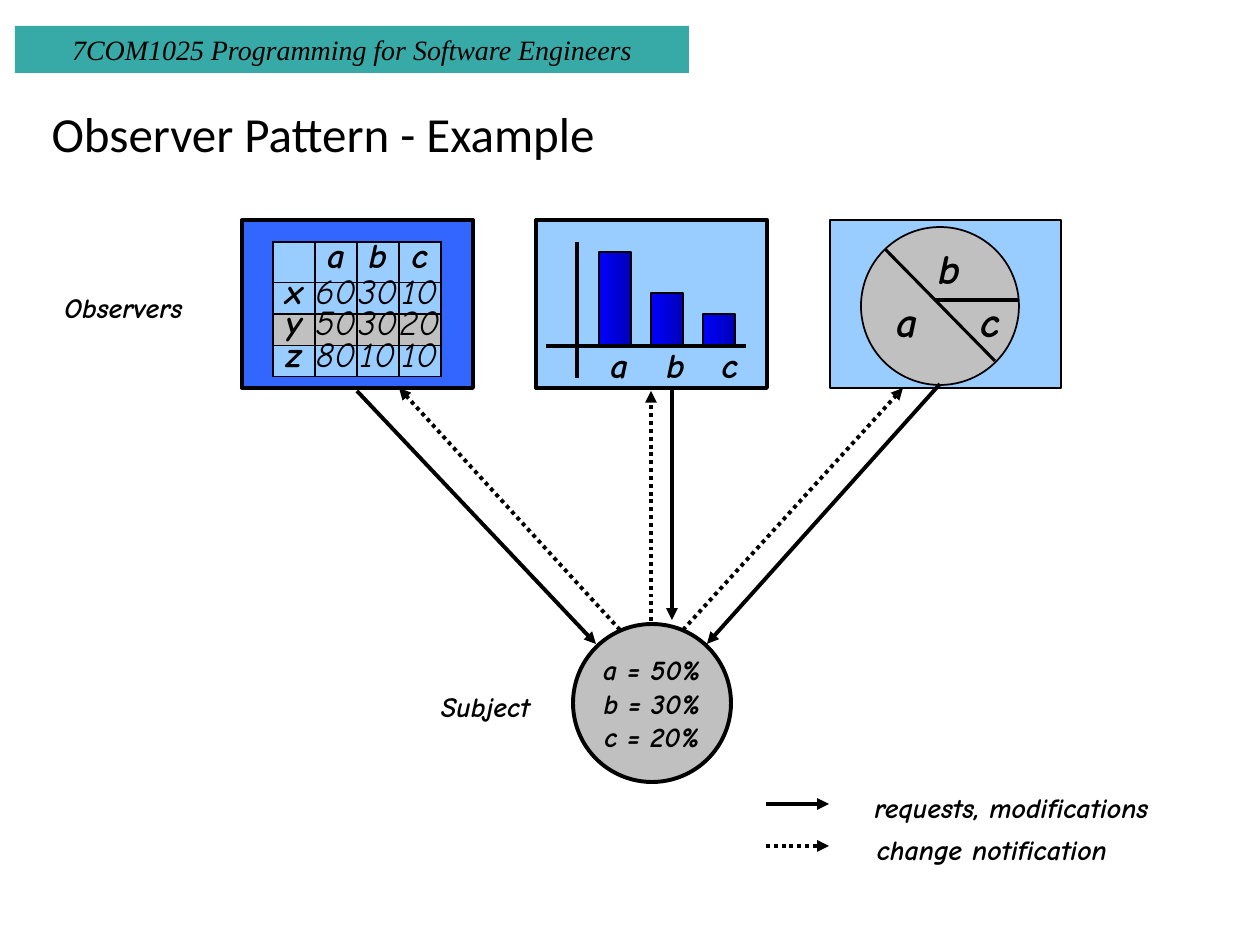
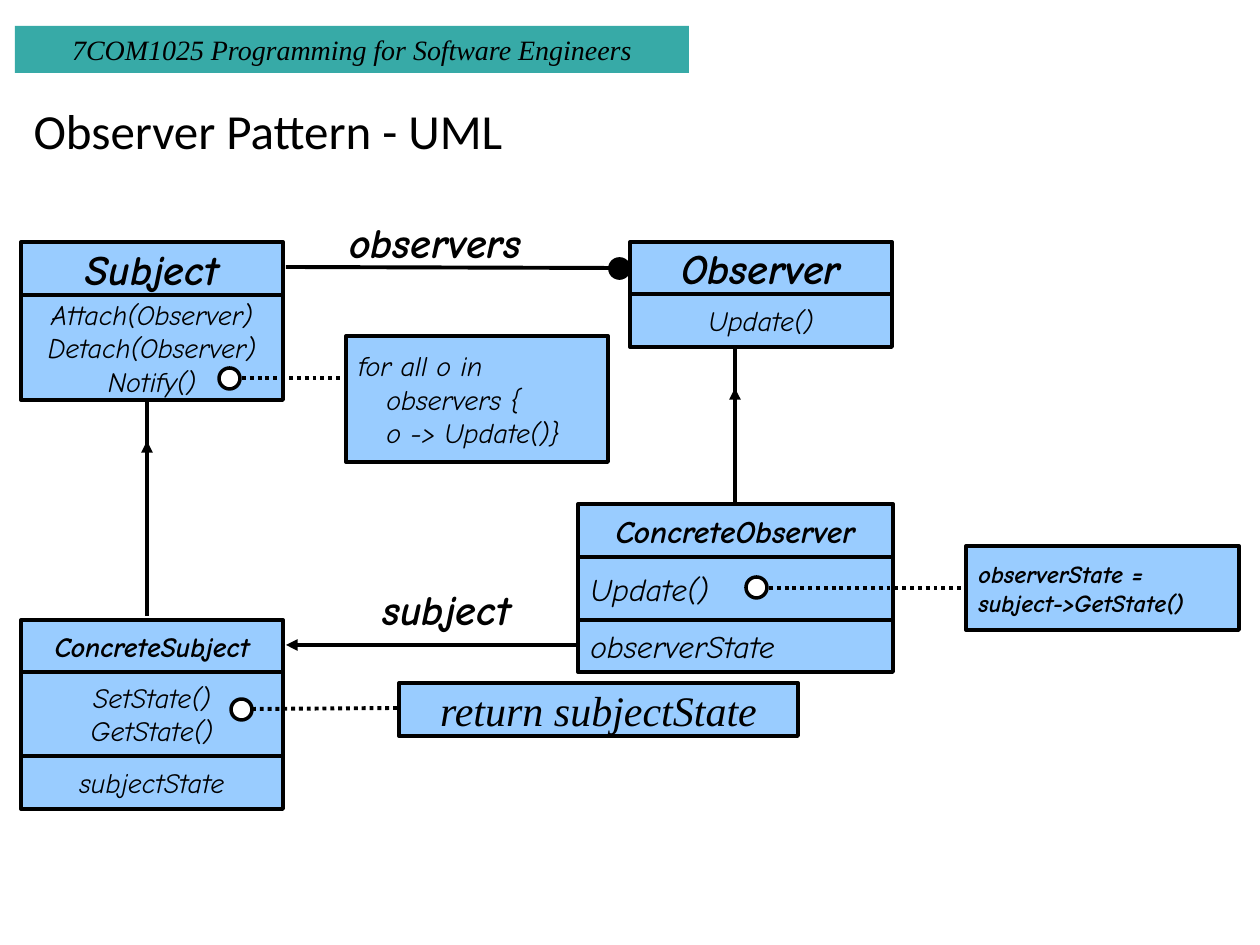
"""Build two slides on the Observer pattern: an example and its UML."""
from lxml.etree import SubElement
from pptx import Presentation
from pptx.dml.color import RGBColor
from pptx.enum.dml import MSO_LINE
from pptx.enum.shapes import MSO_CONNECTOR, MSO_SHAPE
from pptx.enum.text import MSO_ANCHOR, PP_ALIGN
from pptx.oxml.ns import qn
from pptx.util import Emu, Pt

SCALE = 914400 // 126
BLACK, WHITE, TEAL = "000000", "FFFFFF", "37AAA7"
SKY, ROYAL, GREY = "99CCFF", "3366FF", "C0C0C0"
SHADES = "0000FF", "0000B6"
COMIC, TIMES, SANS = "Comic Neue", "Times New Roman", "Calibri"
RECT, OVAL = MSO_SHAPE.RECTANGLE, MSO_SHAPE.OVAL
LEFT, MID = PP_ALIGN.LEFT, PP_ALIGN.CENTER

BAND = "7COM1025 Programming for Software Engineers"
BAND_AT = (15, 26, 674, 47)

PANELS = [(ROYAL, 2.25), (SKY, 2.25), (SKY, 1)]
PANEL_X, PANEL_GAP, PANEL_Y, PANEL_W, PANEL_H = 242, 294, 220, 231, 168
GRID = [["", "a", "b", "c"],
        ["x", "60", "30", "10"],
        ["y", "50", "30", "20"],
        ["z", "80", "10", "10"]]
GRID_AT = (273, 242, 168, 126)
PICKED = 2
BARS = [94, 53, 32]
BAR_X, BAR_GAP, BAR_W, BASE = 599, 52, 32, 346
STATE = ["a = 50%", "b = 30%", "c = 20%"]
PIE_AT, STATE_AT = (861, 227, 158, 158), (573, 624, 158, 158)
EX_LABELS = [("a", 619, 364, 20), ("b", 675, 364, 20), ("c", 730, 364, 20),
             ("a", 907, 321, 24), ("b", 949, 268, 24), ("c", 990, 321, 24),
             ("Observers", 123, 307, 16), ("Subject", 485, 706, 16),
             ("requests, modifications", 1011, 807, 16),
             ("change notification", 992, 849, 16)]
AXES = [(577, 242, 577, 378), (746, BASE, 546, BASE)]
SPOKES = [((885, 249, 995, 361), 1.75), ((935, 300, 1018, 300), 2.25)]
ASKS = [(357, 391, 596, 644), (940, 384, 707, 644),
        (672, 388, 672, 620), (766, 804, 829, 804)]
NEWS = [(651, 621, 651, 391), (620, 630, 399, 388),
        (683, 630, 903, 388), (766, 846, 829, 846)]

CLASSES = [
    (21, 242, 262, [(53, ["Subject"], 24, True, MID),
                    (105, ["Attach(Observer)", "Detach(Observer)", "Notify()"],
                     16, False, MID)]),
    (21, 620, 262, [(52, ["ConcreteSubject"], 16, True, MID),
                    (84, ["SetState()", "GetState()"], 16, False, MID),
                    (53, ["subjectState"], 16, False, MID)]),
    (630, 242, 262, [(52, ["Observer"], 24, True, MID),
                     (53, ["Update()"], 16, False, MID)]),
    (578, 504, 315, [(53, ["ConcreteObserver"], 18, True, MID),
                     (63, ["Update()"], 18, False, LEFT),
                     (52, ["observerState"], 18, False, LEFT)]),
]
NOTES = [
    ((346, 336, 262, 126), ["for all o in", "\tobservers {", "\to -> Update()}"],
     16, False, LEFT, COMIC),
    ((966, 546, 273, 84), ["observerState =", "subject->GetState()"],
     14, True, LEFT, COMIC),
    ((399, 683, 399, 53), ["return subjectState"], 24, False, MID, TIMES),
]
UML_LABELS = [("observers", 435, 242, 24), ("subject", 446, 609, 24)]
LINKS = [(147, 616, 147, 399), (735, 502, 735, 347), (286, 267, 609, 268)]
HEADS = [(147, 473, 147, 441), (735, 420, 735, 388), (576, 645, 286, 645)]
DOTS = [(242, 378, 343, 378), (769, 588, 964, 588), (397, 708, 253, 709)]
RINGS = [(219, 368), (746, 577), (231, 699)]
BALL, DOT_W = (609, 258), 21
INDENT = 28


def px(*nums):
    """Turn px into EMU."""
    return [Emu(num * SCALE) for num in nums]


def rgb(code):
    """Turn a hex string into a colour."""
    return RGBColor.from_string(code)


def style(para, size, font=COMIC, bold=False, italic=True, align=MID):
    """Set the font and alignment of one paragraph."""
    para.alignment = align
    face = para.font
    face.size, face.name = Pt(size), font
    face.bold, face.italic = bold, italic
    face.color.rgb = rgb(BLACK)


def write(shape, lines, size, bold=False, align=MID, font=COMIC):
    """Fill a shape with lines; a leading tab indents a line."""
    frame = shape.text_frame
    frame.word_wrap = align == LEFT
    frame.vertical_anchor = MSO_ANCHOR.MIDDLE
    for num, line in enumerate(lines):
        para = frame.add_paragraph() if num else frame.paragraphs[0]
        para.text = line.lstrip("\t")
        style(para, size, font, bold, align=align)
        if line.startswith("\t"):
            para._p.get_or_add_pPr().set("marL", str(INDENT * SCALE))


def block(slide, spot, fill=SKY, width=2.25, kind=RECT):
    """Draw a filled shape; width 0 means no outline."""
    shape = slide.shapes.add_shape(kind, *px(*spot))
    shape.shadow.inherit = False
    if isinstance(fill, tuple):
        shape.fill.gradient()
        shape.fill.gradient_angle = 0
        for stop, code in zip(shape.fill.gradient_stops, fill):
            stop.color.rgb = rgb(code)
    else:
        shape.fill.solid()
        shape.fill.fore_color.rgb = rgb(fill)
    if width:
        shape.line.color.rgb = rgb(BLACK)
        shape.line.width = Pt(width)
    else:
        shape.line.fill.background()
    return shape


def label(slide, text, mid_x, mid_y, size):
    """Centre a bold text box on a point."""
    wide, high = round(len(text) * size * 0.86) + 25, size * 2 + 14
    spot = px(mid_x - wide // 2, mid_y - high // 2, wide, high)
    write(slide.shapes.add_textbox(*spot), [text], size, True)


def wire(slide, ends, width=2.25, dots=False, head=False):
    """Draw a line, dotted or with an arrowhead if asked."""
    link = slide.shapes.add_connector(MSO_CONNECTOR.STRAIGHT, *px(*ends))
    link.line.color.rgb = rgb(BLACK)
    link.line.width = Pt(width)
    if dots:
        link.line.dash_style = MSO_LINE.ROUND_DOT
    if head:
        SubElement(link.line._get_or_add_ln(), qn("a:tailEnd"), type="triangle")
    SubElement(link._element.spPr, qn("a:effectLst"))


def edge(cell):
    """Give a table cell thin black borders."""
    props = cell._tc.get_or_add_tcPr()
    for side in "LRTB":
        line = SubElement(props, qn("a:ln" + side), w=str(Pt(1)))
        paint = SubElement(line, qn("a:solidFill"))
        SubElement(paint, qn("a:srgbClr"), val=BLACK)


def grid(slide):
    """Draw the table of values with the picked row in grey."""
    table = slide.shapes.add_table(len(GRID), len(GRID[0]), *px(*GRID_AT)).table
    table.first_row = table.horz_banding = False
    for row, texts in enumerate(GRID):
        for col, text in enumerate(texts):
            cell = table.cell(row, col)
            edge(cell)
            cell.fill.solid()
            picked = row == PICKED
            cell.fill.fore_color.rgb = rgb(GREY if picked else SKY)
            cell.margin_left = cell.margin_right = 0
            cell.margin_top = cell.margin_bottom = 0
            cell.vertical_anchor = MSO_ANCHOR.MIDDLE
            cell.text = text
            para = cell.text_frame.paragraphs[0]
            style(para, 20, bold=row * col == 0)
            para.line_spacing = Pt(17)


def start(deck, text, spot):
    """Add a slide and set its title."""
    slide = deck.slides.add_slide(deck.slide_layouts[5])
    title = slide.shapes.title
    title.left, title.top, title.width, title.height = px(*spot)
    title.text_frame.text = text
    title.text_frame.vertical_anchor = MSO_ANCHOR.MIDDLE
    para = title.text_frame.paragraphs[0]
    style(para, 28, SANS, italic=False, align=LEFT)
    para.line_spacing = 0.9
    return slide


def share(slide):
    """Put the course band on the layout."""
    band = block(slide, BAND_AT, TEAL, 0)
    write(band, [BAND], 16, font=TIMES)
    slide.slide_layout.shapes._spTree.append(band._element)


def example(slide):
    """Draw three observers around one subject."""
    for num, (fill, width) in enumerate(PANELS):
        left = PANEL_X + num * PANEL_GAP
        block(slide, (left, PANEL_Y, PANEL_W, PANEL_H), fill, width)
    grid(slide)
    for num, high in enumerate(BARS):
        spot = (BAR_X + num * BAR_GAP, BASE - high, BAR_W, high)
        block(slide, spot, SHADES, 1)
    block(slide, PIE_AT, GREY, 1, OVAL)
    write(block(slide, STATE_AT, GREY, kind=OVAL), STATE, 16, True)
    for ends in AXES:
        wire(slide, ends)
    for ends, width in SPOKES:
        wire(slide, ends, width)
    for ends in ASKS:
        wire(slide, ends, head=True)
    for ends in NEWS:
        wire(slide, ends, dots=True, head=True)
    for item in EX_LABELS:
        label(slide, *item)


def uml(slide):
    """Draw the class boxes, notes and links."""
    for left, top, wide, rows in CLASSES:
        for high, *text in rows:
            write(block(slide, (left, top, wide, high)), *text)
            top += high
    for spot, *text in NOTES:
        write(block(slide, spot), *text)
    for ends in LINKS:
        wire(slide, ends)
    for ends in HEADS:
        wire(slide, ends, head=True)
    for ends in DOTS:
        wire(slide, ends, dots=True)
    for spot in RINGS:
        block(slide, (*spot, DOT_W, DOT_W), WHITE, 2, OVAL)
    block(slide, (*BALL, DOT_W, DOT_W), BLACK, 1, OVAL)
    for item in UML_LABELS:
        label(slide, *item)


def main():
    """Build and save the deck."""
    deck = Presentation()
    deck.slide_width, deck.slide_height = px(1260, 945)
    first = start(deck, "Observer Pattern - Example", (39, 76, 1040, 122))
    share(first)
    example(first)
    uml(start(deck, "Observer Pattern - UML", (21, 88, 1040, 91)))
    deck.save("out.pptx")


if __name__ == "__main__":
    main()
